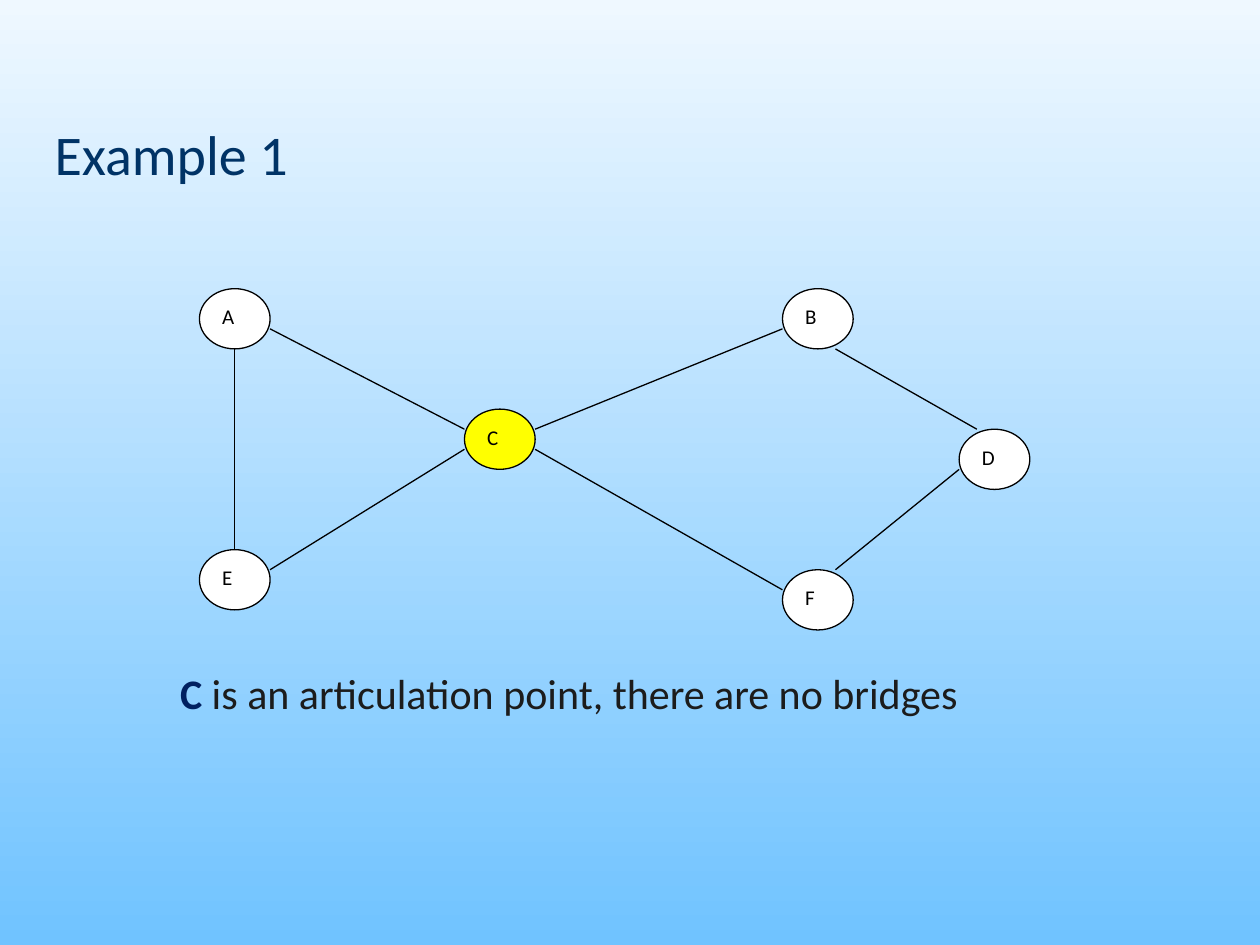
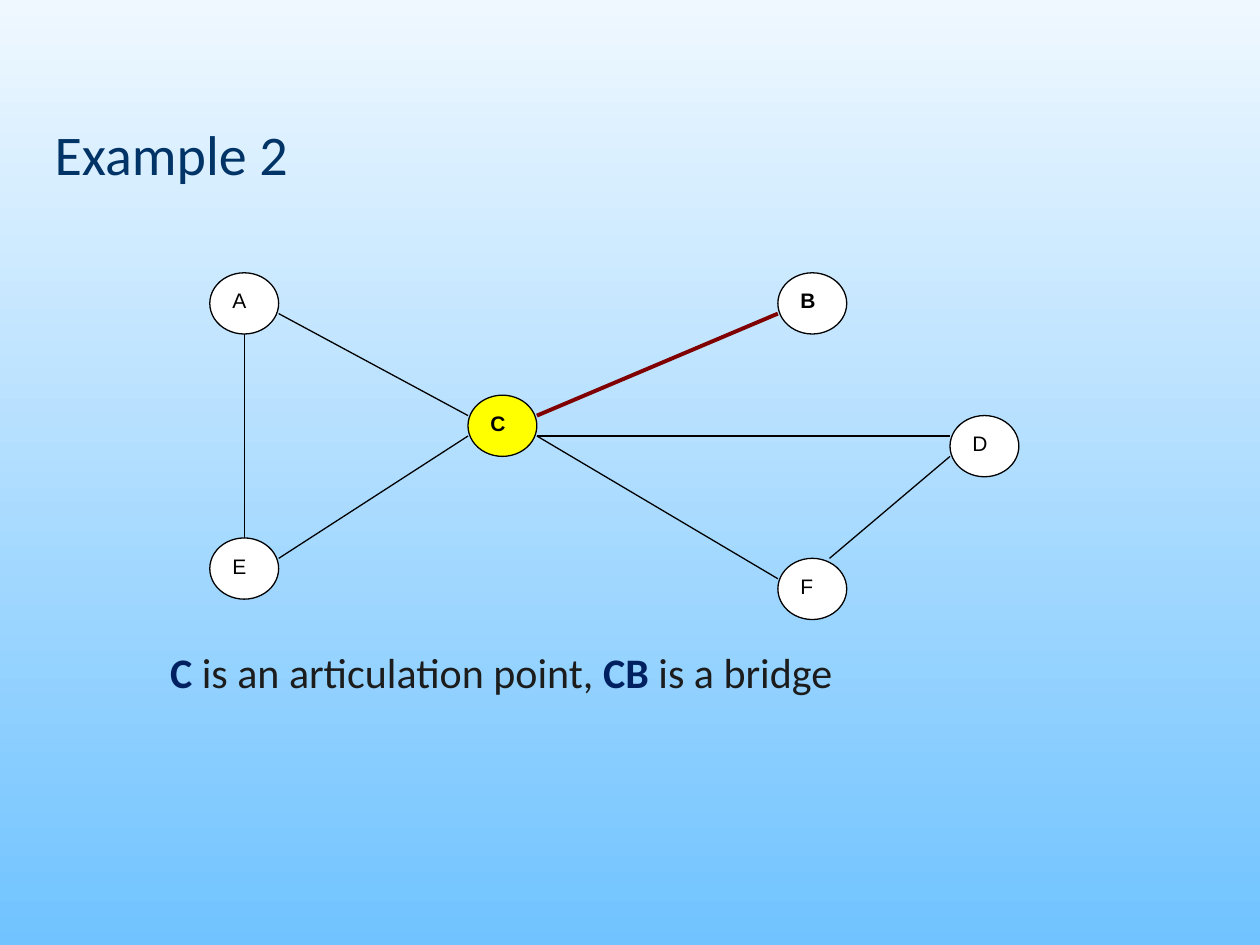
import pptx
import pptx.dml.color
import pptx.enum.shapes
import pptx.enum.text
import pptx.util
import lxml.etree
from pptx.util import Cm

SKY_TOP = pptx.dml.color.RGBColor(0xEF, 0xF8, 0xFF)
SKY_BOTTOM = pptx.dml.color.RGBColor(0x70, 0xC3, 0xFF)
TITLE_BLUE = pptx.dml.color.RGBColor(0x00, 0x33, 0x66)
NAVY = pptx.dml.color.RGBColor(0x00, 0x20, 0x60)
INK = pptx.dml.color.RGBColor(0x1C, 0x1C, 0x1C)
BLACK = pptx.dml.color.RGBColor(0x00, 0x00, 0x00)
WHITE = pptx.dml.color.RGBColor(0xFF, 0xFF, 0xFF)
YELLOW = pptx.dml.color.RGBColor(0xFF, 0xFF, 0x00)
BRIDGE_RED = pptx.dml.color.RGBColor(0x80, 0x00, 0x00)

# Both graphs lie on one grid of 47 by 17 steps; each node covers 4 by 3 steps
COLUMNS, ROWS = 47, 17
NODE_COLUMNS, NODE_ROWS = 4, 3
NODES = {"A": (0, 0), "B": (33, 0), "C": (15, 6),
         "E": (0, 13), "F": (33, 14), "D": (43, 7)}
EDGES = {"AE": (2, 3, 2, 13), "AC": (4, 2, 15, 7), "EC": (4, 14, 15, 8),
         "CB": (19, 7, 33, 2), "CF": (19, 8, 33, 15), "BD": (36, 3, 44, 7),
         "FD": (36, 14, 43, 9), "CD": (19, 8, 43, 8)}

# Graph and caption areas: left, top, width, height in centimetres
EXAMPLES = [
    {"title": "Example 1", "graph": (4.02, 5.82, 16.74, 6.88),
     "font": "Calibri", "bold": "", "bridge": "",
     "edges": ["AE", "AC", "EC", "CB", "CF", "BD", "FD"],
     "caption_area": (3.38, 13.34, 19.9, 1.27),
     "caption": [("C", True), (" is an articulation point, there are no bridges", False)]},
    {"title": "Example 2", "graph": (4.23, 5.5, 16.31, 6.99),
     "font": "Arial", "bold": "BC", "bridge": "CB",
     "edges": ["AE", "AC", "EC", "CB", "CF", "FD", "CD"],
     "caption_area": (3.18, 12.91, 17.36, 1.27),
     "caption": [("C", True), (" is an articulation point, ", False),
                 ("CB", True), (" is a bridge", False)]},
]


def add_span(para, text, size, color, font="Calibri", bold=False):
    span = para.add_run()
    span.text = text
    span.font.name = font
    span.font.size = pptx.util.Pt(size)
    span.font.bold = bold
    span.font.color.rgb = color


def add_box(page, area):
    box = page.shapes.add_textbox(*[Cm(length) for length in area])
    box.text_frame.word_wrap = True
    return box.text_frame


deck = pptx.Presentation()
deck.slide_width = Cm(25.4)
deck.slide_height = Cm(19.05)

for example in EXAMPLES:
    page = deck.slides.add_slide(deck.slide_layouts[6])

    # Sky background, light at the top
    sky = page.background.fill
    sky.gradient()
    sky.gradient_angle = 270
    for stop, color in zip(sky.gradient_stops, (SKY_TOP, SKY_BOTTOM)):
        stop.color.rgb = color

    # Title
    title = add_box(page, (0.85, 2.24, 23.28, 1.7))
    title.vertical_anchor = pptx.enum.text.MSO_ANCHOR.MIDDLE
    add_span(title.paragraphs[0], example["title"], 32, TITLE_BLUE)

    left, top, width, height = example["graph"]
    step_x, step_y = width / COLUMNS, height / ROWS

    # Nodes, with the articulation point in yellow
    for name, (column, row) in NODES.items():
        node = page.shapes.add_shape(
            pptx.enum.shapes.MSO_SHAPE.OVAL,
            Cm(left + column * step_x), Cm(top + row * step_y),
            Cm(NODE_COLUMNS * step_x), Cm(NODE_ROWS * step_y))
        node.shadow.inherit = False
        node.fill.solid()
        node.fill.fore_color.rgb = YELLOW if name == "C" else WHITE
        node.line.color.rgb = BLACK
        node.line.width = pptx.util.Pt(0.75)
        node.text_frame.vertical_anchor = pptx.enum.text.MSO_ANCHOR.TOP
        para = node.text_frame.paragraphs[0]
        para.alignment = pptx.enum.text.PP_ALIGN.LEFT
        add_span(para, name, 12, BLACK, example["font"], name in example["bold"])

    # Edges, with the bridge thick and red
    for name in example["edges"]:
        x1, y1, x2, y2 = EDGES[name]
        is_bridge = name == example["bridge"]
        edge = page.shapes.add_connector(
            pptx.enum.shapes.MSO_CONNECTOR.STRAIGHT,
            Cm(left + x1 * step_x), Cm(top + y1 * step_y),
            Cm(left + x2 * step_x), Cm(top + y2 * step_y))
        edge.line.color.rgb = BRIDGE_RED if is_bridge else BLACK
        edge.line.width = pptx.util.Pt(2.25 if is_bridge else 0.75)
        lxml.etree.SubElement(edge._element.spPr, pptx.oxml.ns.qn("a:effectLst"))

    # Caption
    caption = add_box(page, example["caption_area"])
    for text, is_term in example["caption"]:
        add_span(caption.paragraphs[0], text, 24, NAVY if is_term else INK, bold=is_term)

deck.save("out.pptx")
